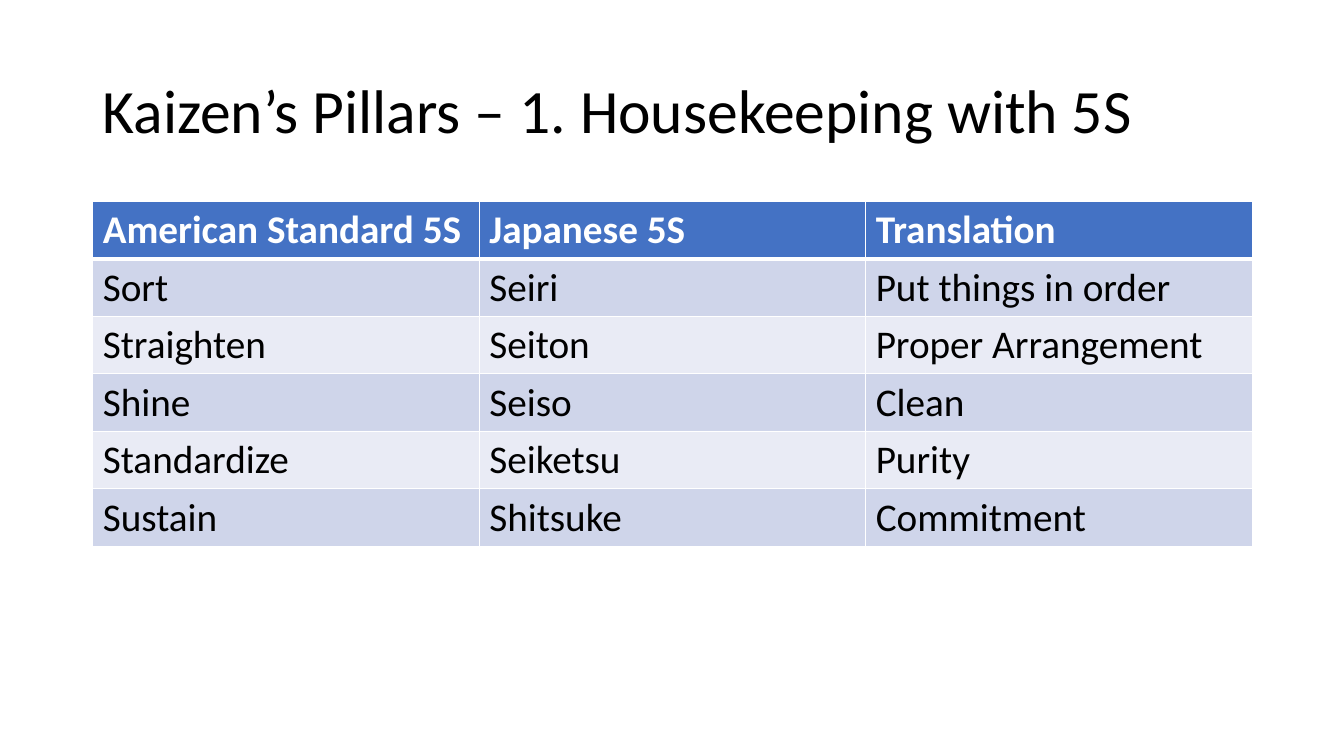
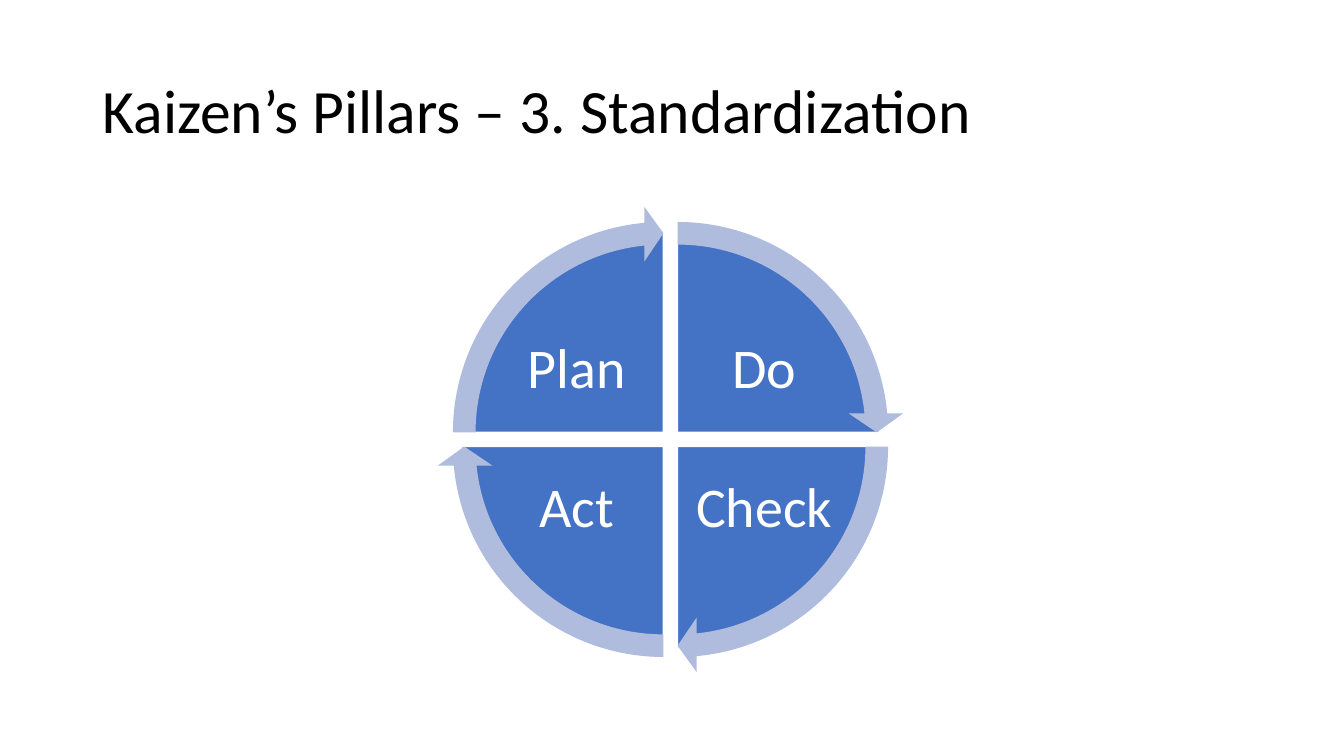
from lxml import etree
from pptx import Presentation
from pptx.dml.color import RGBColor
from pptx.enum.shapes import MSO_SHAPE
from pptx.enum.text import MSO_ANCHOR, PP_ALIGN
from pptx.oxml.ns import qn
from pptx.util import Inches, Pt

PIE, CIRCULAR_ARROW = MSO_SHAPE.PIE, MSO_SHAPE.CIRCULAR_ARROW
MIDDLE = MSO_ANCHOR.MIDDLE
LEFT, CENTER = PP_ALIGN.LEFT, PP_ALIGN.CENTER

BLACK = RGBColor(0x00, 0x00, 0x00)
WHITE = RGBColor(0xFF, 0xFF, 0xFF)
BLUE = RGBColor(0x44, 0x72, 0xC4)
ARROW_BLUE = RGBColor(0xB0, 0xBC, 0xDE)
BANDS = (RGBColor(0xE9, 0xEB, 0xF5), RGBColor(0xCF, 0xD5, 0xEA))

FONT = "Calibri"
TITLE_FONT = {"name": FONT, "size": Pt(44), "color": BLACK}
HEADER_FONT = {"name": FONT, "size": Pt(28), "color": WHITE, "bold": True}
CELL_FONT = {"name": FONT, "size": Pt(28), "color": BLACK, "bold": False}
STEP_FONT = {"name": FONT, "size": Pt(40), "color": WHITE}

HOUSEKEEPING_TITLE = "Kaizen’s Pillars – 1. Housekeeping with 5S"
HOUSEKEEPING_ROWS = [
    ("American Standard 5S", "Japanese 5S", "Translation"),
    ("Sort", "Seiri", "Put things in order"),
    ("Straighten", "Seiton", "Proper Arrangement"),
    ("Shine", "Seiso", "Clean"),
    ("Standardize", "Seiketsu", "Purity"),
    ("Sustain", "Shitsuke", "Commitment"),
]
STANDARDIZATION_TITLE = "Kaizen’s Pillars – 3. Standardization"
# Step, horizontal side, vertical side, start angle in degrees
CYCLE_STEPS = [
    ("Do", 1, -1, 270),
    ("Check", 1, 1, 0),
    ("Act", -1, 1, 90),
    ("Plan", -1, -1, 180),
]

MARGIN, CONTENT_WIDTH = 0.92, 11.5
ROW_HEIGHT = 0.57
CYCLE_X, CYCLE_Y = 6.65, 4.36
HALF_GAP = 0.07
PIE_SIZE, ARROW_SIZE = 4, 4.49
LABEL_WIDTH, LABEL_HEIGHT = 1.48, 1.09
LABEL_DX, LABEL_DY = 0.93, 0.69
ANGLE_UNIT = 0.6  # adjustment value of one degree
HEAD_ANGLE = 3.28


def set_text(paragraph, text, font_format):
    run = paragraph.add_run()
    run.text = text
    for name, value in font_format.items():
        if name == "color":
            run.font.color.rgb = value
        else:
            setattr(run.font, name, value)


def add_text(slide, box, text, font_format, alignment=LEFT, inset=None):
    frame = slide.shapes.add_textbox(*map(Inches, box)).text_frame
    frame.word_wrap = True
    frame.vertical_anchor = MIDDLE
    if inset is not None:
        for side in ("left", "right", "top", "bottom"):
            setattr(frame, f"margin_{side}", Inches(inset))
    paragraph = frame.paragraphs[0]
    paragraph.alignment = alignment
    paragraph.line_spacing = 0.9
    set_text(paragraph, text, font_format)


def add_titled_slide(presentation, title):
    slide = presentation.slides.add_slide(presentation.slide_layouts[6])
    add_text(slide, (MARGIN, 0.4, CONTENT_WIDTH, 1.45), title, TITLE_FONT)
    return slide


def set_borders(cell, widths):
    """Draw white cell borders; widths maps L, R, T and B to points."""
    properties = cell._tc.get_or_add_tcPr()
    for side, width in widths.items():
        line = etree.SubElement(properties, qn(f"a:ln{side}"), w=str(Pt(width)))
        fill = etree.SubElement(line, qn("a:solidFill"))
        etree.SubElement(fill, qn("a:srgbClr"), val=str(WHITE))


def add_banded_table(slide, rows):
    columns = len(rows[0])
    box = (MARGIN, 2, CONTENT_WIDTH, ROW_HEIGHT * len(rows))
    table = slide.shapes.add_table(len(rows), columns, *map(Inches, box)).table
    for row_index, values in enumerate(rows):
        is_header = row_index == 0
        for column_index, value in enumerate(values):
            cell = table.cell(row_index, column_index)
            set_borders(cell, {"L": 1, "R": 1,
                               "T": 3 if row_index == 1 else 1,
                               "B": 3 if is_header else 1})
            cell.fill.solid()
            cell.fill.fore_color.rgb = BLUE if is_header else BANDS[row_index % 2]
            set_text(cell.text_frame.paragraphs[0], value,
                     HEADER_FONT if is_header else CELL_FONT)


def centered_box(x, y, width, height):
    return x - width / 2, y - height / 2, width, height


def add_cycle_part(slide, kind, step, size, fill, adjustments, outline=None):
    _, side_x, side_y, _ = step
    box = centered_box(CYCLE_X + side_x * HALF_GAP,
                       CYCLE_Y + side_y * HALF_GAP, size, size)
    shape = slide.shapes.add_shape(kind, *map(Inches, box))
    shape.shadow.inherit = False
    shape.fill.solid()
    shape.fill.fore_color.rgb = fill
    if outline is None:
        shape.line.fill.background()
    else:
        shape.line.color.rgb = outline
        shape.line.width = Pt(1)
    for index, value in enumerate(adjustments):
        shape.adjustments[index] = value


def add_cycle(slide, steps):
    for step in steps:
        label, side_x, side_y, start = step
        angles = (start * ANGLE_UNIT, (start + 90) % 360 * ANGLE_UNIT)
        add_cycle_part(slide, PIE, step, PIE_SIZE, BLUE, angles, WHITE)
        box = centered_box(CYCLE_X + side_x * LABEL_DX,
                           CYCLE_Y + side_y * LABEL_DY,
                           LABEL_WIDTH, LABEL_HEIGHT)
        add_text(slide, box, label, STEP_FONT, CENTER, 0.06)
    for step in steps:
        start = step[-1]
        tip = (start + 90) * ANGLE_UNIT - HEAD_ANGLE
        add_cycle_part(slide, CIRCULAR_ARROW, step, ARROW_SIZE, ARROW_BLUE,
                       (0.05, HEAD_ANGLE, tip, start * ANGLE_UNIT, 0.06))


def main():
    presentation = Presentation()
    presentation.slide_width = Inches(13.33)
    presentation.slide_height = Inches(7.5)
    add_banded_table(add_titled_slide(presentation, HOUSEKEEPING_TITLE),
                     HOUSEKEEPING_ROWS)
    add_cycle(add_titled_slide(presentation, STANDARDIZATION_TITLE), CYCLE_STEPS)
    presentation.save("out.pptx")


if __name__ == "__main__":
    main()
